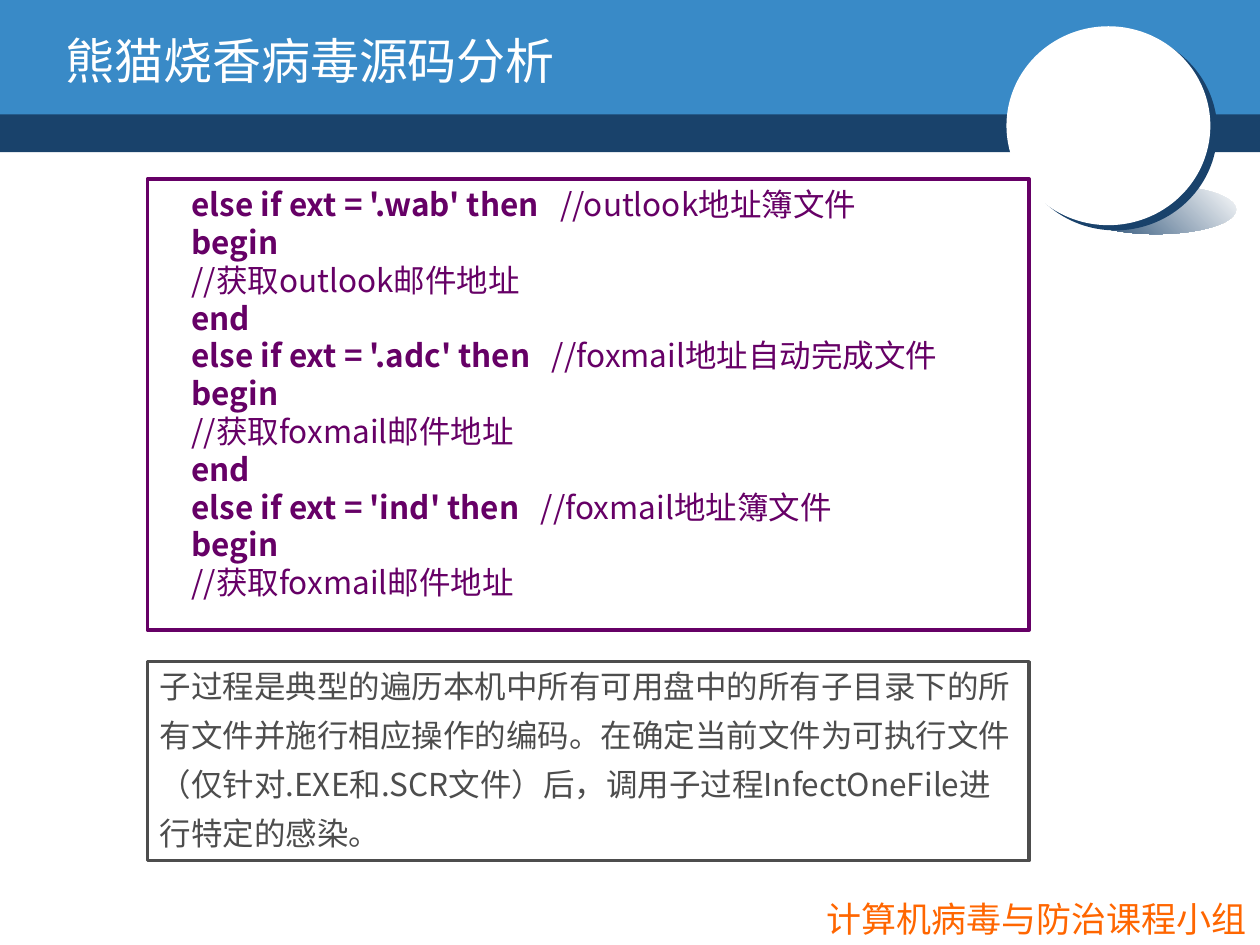
"""Build a slide that walks through the source code of a virus."""
from lxml import etree
from pptx import Presentation
from pptx.dml.color import RGBColor
from pptx.enum import shapes, text
from pptx.oxml import ns
from pptx.util import Cm, Pt

COLORS = {
    "white": "FFFFFF",
    "pale": "FEFEFE",
    "navy": "19426B",
    "blue": "398AC7",
    "purple": "660066",
    "gray": "4D4D4D",
    "orange": "FF6600",
}
RECT = shapes.MSO_SHAPE.RECTANGLE
OVAL = shapes.MSO_SHAPE.OVAL
NOTO = "Noto Sans CJK SC"


def rgb(name):
    return RGBColor.from_string(COLORS[name])


def add_text(s, content, box, color, size, font=NOTO, bold=False,
             leading=None, anchor=text.MSO_ANCHOR.TOP, wrap=True):
    tf = s.shapes.add_textbox(*[Cm(v) for v in box]).text_frame
    tf.word_wrap = wrap
    tf.vertical_anchor = anchor
    for i, line in enumerate(content.split("\n")):
        p = tf.paragraphs[0] if i == 0 else tf.add_paragraph()
        if leading:
            p.line_spacing = Pt(leading)
        code, mark, note = line.partition("//")
        for part, strong in ((code, bold), (mark + note, False)):
            if part:
                r = p.add_run()
                r.text = part
                r.font.size = Pt(size)
                r.font.bold = strong
                r.font.color.rgb = rgb(color)
                r.font.name = font
                ea = etree.SubElement(r.font._element, ns.qn("a:ea"))
                ea.set("typeface", font)


prs = Presentation()
prs.slide_width, prs.slide_height = Cm(25.4), Cm(19.05)
s = prs.slides.add_slide(prs.slide_layouts[6])

decor = []
for kind, box, fill in (
    (RECT, (0, 2.21, 25.4, 0.86), "navy"),
    (RECT, (0, 0, 25.4, 2.31), "blue"),
    (OVAL, (21.69, 3.73, 3.23, 0.99), "navy"),
    (OVAL, (20.29, 0.53, 4.11, 4.01), "white"),
    (OVAL, (21.67, 1.93, 1.45, 1.37), "white"),
):
    sp = s.shapes.add_shape(kind, *[Cm(v) for v in box])
    sp.shadow.inherit = False
    sp.fill.solid()
    sp.fill.fore_color.rgb = rgb(fill)
    sp.line.fill.background()
    decor.append(sp)

glow, disc = decor[2:4]
glow.fill.gradient()
glow.fill.gradient_angle = 225
for stop, position, color in zip(glow.fill.gradient_stops, (0, 1), ("pale", "navy")):
    stop.position = position
    stop.color.rgb = rgb(color)

effects = disc._element.spPr.find(ns.qn("a:effectLst"))
shadow = etree.SubElement(effects, ns.qn("a:outerShdw"), blurRad="0",
                          dist=str(Pt(5)), dir=str(37 * 60000),
                          algn="ctr", rotWithShape="0")
etree.SubElement(shadow, ns.qn("a:srgbClr"), val=COLORS["navy"])

add_text(s, "熊猫烧香病毒源码分析", (1.07, 0.43, 20.52, 1.57), "white", 28,
         font="DejaVu Sans", anchor=text.MSO_ANCHOR.MIDDLE)
add_text(s, "计算机病毒与防治课程小组", (16.41, 17.96, 8.99, 1.12), "orange", 20,
         leading=24.2, wrap=False)

CODE = """else if ext = '.wab' then   //outlook地址簿文件
begin
//获取outlook邮件地址
end
else if ext = '.adc' then   //foxmail地址自动完成文件
begin
//获取foxmail邮件地址
end
else if ext = 'ind' then   //foxmail地址簿文件
begin
//获取foxmail邮件地址"""
add_text(s, CODE, (3.61, 3.61, 18.62, 8.64), "purple", 18, bold=True, leading=21.6)

SUMMARY = ("子过程是典型的遍历本机中所有可用盘中的所有子目录下的所有文件并施行相应操作的编码。"
           "在确定当前文件为可执行文件（仅针对.EXE和.SCR文件）后，"
           "调用子过程InfectOneFile进行特定的感染。")
add_text(s, SUMMARY, (2.97, 13.08, 17.78, 4.22), "gray", 18, leading=28,
         anchor=text.MSO_ANCHOR.MIDDLE)

for top, height, color in ((3.61, 9.09, "purple"), (13.34, 4.01, "gray")):
    sp = s.shapes.add_shape(RECT, Cm(2.97), Cm(top), Cm(17.78), Cm(height))
    sp.shadow.inherit = False
    sp.fill.background()
    sp.line.color.rgb = rgb(color)
    sp.line.width = Pt(2)

prs.save("out.pptx")
